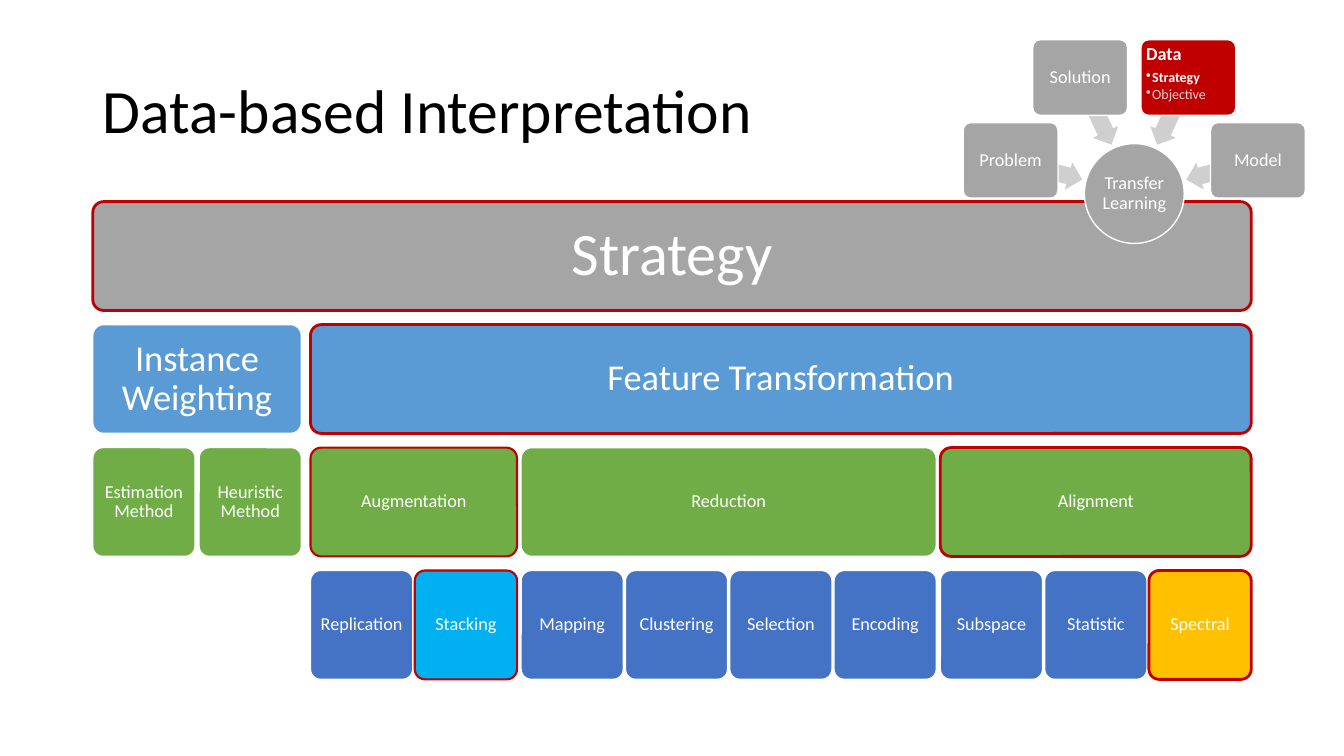
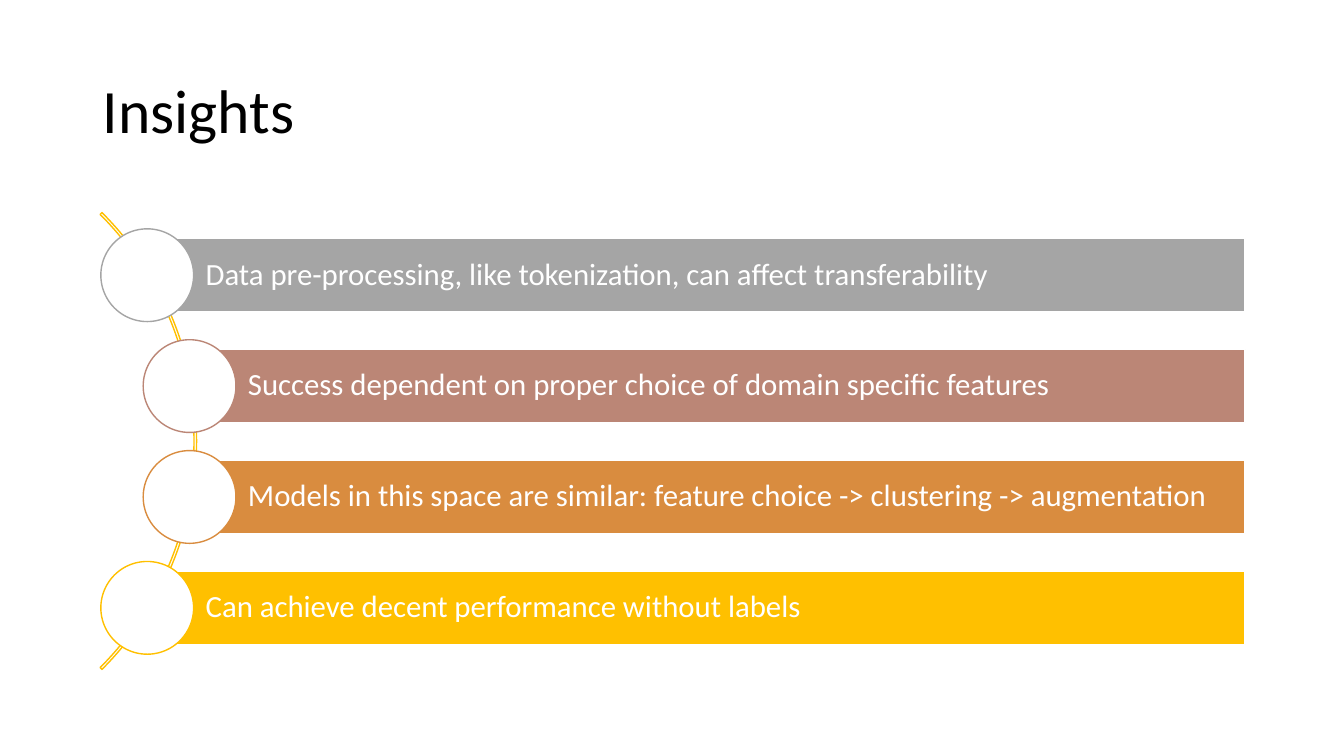
"""Build two slides: a strategy tree with its context wheel, and a list of insights."""
from math import cos, radians, sin

from lxml import etree
from pptx import Presentation
from pptx.dml.color import RGBColor
from pptx.enum import shapes, text
from pptx.oxml import ns
from pptx.util import Inches, Pt

FONT = "Calibri"
COLORS = {
    "black": "000000", "white": "FFFFFF", "gray": "A5A5A5", "silver": "CFCFCF",
    "pale": "D9D9D9", "red": "C00000", "blue": "5B9BD5", "green": "70AD47",
    "indigo": "4472C4", "cyan": "00B0F0", "gold": "FFC000", "rose": "BB8676",
    "orange": "D98C3F",
}
SHAPE = shapes.MSO_SHAPE
CENTER = text.PP_ALIGN.CENTER
LEFT = text.PP_ALIGN.LEFT

STRATEGY = ("Strategy", [
    ("Instance Weighting", [("Estimation Method", []), ("Heuristic Method", [])]),
    ("Feature Transformation", [
        ("Augmentation", [("Replication", []), ("Stacking", [])]),
        ("Reduction", [("Mapping", []), ("Clustering", []), ("Selection", []), ("Encoding", [])]),
        ("Alignment", [("Subspace", []), ("Statistic", []), ("Spectral", [])]),
    ]),
])
LEVELS = [
    {"fill": "gray", "size": 43, "inset": 0.18, "gap": 0},
    {"fill": "blue", "size": 26, "inset": 0.11, "gap": 0.09},
    {"fill": "green", "size": 13, "inset": 0.05, "gap": 0.04},
    {"fill": "indigo", "size": 13, "inset": 0.05, "gap": 0.02},
]
HIGHLIGHTS = {"Strategy": 2, "Feature Transformation": 2, "Augmentation": 1.5,
              "Alignment": 2, "Stacking": 1.5, "Spectral": 2}
LEAF_FILLS = {"Stacking": "cyan", "Spectral": "gold"}
TREE_LEFT, TREE_TOP, TREE_WIDTH = 0.92, 2, 11.49
TREE_HEIGHT, TREE_PITCH = 1.08, 1.22

HUB = "Transfer Learning"
HUB_X, HUB_Y = 11.25, 1.92
TOPICS = [("Problem", []), ("Solution", []), ("Data", ["Strategy", "Objective"]), ("Model", [])]
CURRENT = ("Data", "Strategy")

INSIGHTS = [
    ("Data pre-processing, like tokenization, can affect transferability", "gray", 1),
    ("Success dependent on proper choice of domain specific features", "rose", 1.42),
    ("Models in this space are similar: feature choice -> clustering -> augmentation", "orange", 1.42),
    ("Can achieve decent performance without labels", "gold", 1),
]
INSIGHT_MIDDLE, INSIGHT_PITCH, BAR_RIGHT = 2.73, 1.1, 12.35
BAR_HEIGHT, DOT = 0.73, 0.92


def rgb(color):
    return RGBColor.from_string(COLORS[color])


def add_run(paragraph, words, size, color="white", bold=False):
    run = paragraph.add_run()
    run.text = words
    run.font.name, run.font.size, run.font.bold = FONT, Pt(size), bold
    run.font.color.rgb = rgb(color)


def set_frame(frame, insets, anchor=text.MSO_ANCHOR.MIDDLE):
    frame.word_wrap = True
    frame.vertical_anchor = anchor
    (frame.margin_left, frame.margin_top,
     frame.margin_right, frame.margin_bottom) = map(Inches, insets)


def write(frame, words, size, insets, align=CENTER, color="white"):
    set_frame(frame, insets)
    paragraph = frame.paragraphs[0]
    paragraph.alignment, paragraph.line_spacing = align, 0.9
    add_run(paragraph, words, size, color)


def add_block(slide, kind, box, fill, line="white", width=1, adjust=()):
    block = slide.shapes.add_shape(kind, *map(Inches, box))
    block.shadow.inherit = False
    for index, value in enumerate(adjust):
        block.adjustments[index] = value
    if fill:
        block.fill.solid()
        block.fill.fore_color.rgb = rgb(fill)
    else:
        block.fill.background()
    if line:
        block.line.color.rgb = rgb(line)
        block.line.width = Pt(width)
    else:
        block.line.fill.background()
    return block


def around(x, y, width, height):
    return x - width / 2, y - height / 2, width, height


def add_slide(deck, title):
    slide = deck.slides.add_slide(deck.slide_layouts[6])
    box = slide.shapes.add_textbox(*map(Inches, (0.92, 0.4, 11.5, 1.45)))
    write(box.text_frame, title, 44, (0.1, 0.05, 0.1, 0.05), LEFT, "black")
    return slide


def count_leaves(node):
    return sum(map(count_leaves, node[1])) or 1


def sum_gaps(node, depth=0):
    children = node[1]
    own = LEVELS[depth + 1]["gap"] * (len(children) - 1) if children else 0
    return own + sum(sum_gaps(child, depth + 1) for child in children)


def add_branch(slide, node, leaf, x=TREE_LEFT, depth=0):
    name, children = node
    level = LEVELS[depth]
    width = count_leaves(node) * leaf + sum_gaps(node, depth)
    block = add_block(
        slide, SHAPE.ROUNDED_RECTANGLE,
        (x, TREE_TOP + depth * TREE_PITCH, width, TREE_HEIGHT),
        LEAF_FILLS.get(name, level["fill"]),
        "red" if name in HIGHLIGHTS else "white", HIGHLIGHTS.get(name, 1), [0.1])
    write(block.text_frame, name, level["size"], [level["inset"]] * 4)
    child_x = x
    for child in children:
        child_x += add_branch(slide, child, leaf, child_x, depth + 1) + LEVELS[depth + 1]["gap"]
    return width


def write_topic_list(frame, name, items):
    set_frame(frame, [0.03] * 4, text.MSO_ANCHOR.TOP)
    heading = frame.paragraphs[0]
    heading.alignment, heading.line_spacing, heading.space_after = LEFT, 0.9, Pt(4)
    add_run(heading, name, 13, bold=True)
    for item in items:
        paragraph = frame.add_paragraph()
        properties = paragraph._p.get_or_add_pPr()
        properties.set("marL", str(Inches(0.06)))
        properties.set("indent", str(Inches(-0.06)))
        etree.SubElement(properties, ns.qn("a:buChar")).set("char", "•")
        paragraph.alignment, paragraph.line_spacing, paragraph.space_after = LEFT, 0.9, Pt(1.5)
        active = item in CURRENT
        add_run(paragraph, item, 10, "white" if active else "pale", active)


def add_wheel(slide):
    hub = add_block(slide, SHAPE.OVAL, around(HUB_X, HUB_Y, 0.99, 0.99), "gray")
    write(hub.text_frame, HUB, 13, [0.01] * 4)
    for index, (name, items) in enumerate(TOPICS):
        angle = 195 + 50 * index
        dx, dy = cos(radians(angle)), sin(radians(angle))
        arrow = add_block(slide, SHAPE.LEFT_ARROW,
                          around(HUB_X + 0.9 * dx, HUB_Y + 0.9 * dy, 0.73, 0.28),
                          "silver", None, adjust=[0.6, 0.5])
        arrow.rotation = angle
        topic = add_block(slide, SHAPE.ROUNDED_RECTANGLE,
                          around(HUB_X + 1.27 * dx, HUB_Y + 1.27 * dy, 0.94, 0.75),
                          "red" if name in CURRENT else "gray", adjust=[0.1])
        if items:
            write_topic_list(topic.text_frame, name, items)
        else:
            write(topic.text_frame, name, 13, [0.03] * 4)


def add_insights(slide):
    add_block(slide, SHAPE.BLOCK_ARC, (-4.46, 1.17, 6.41, 6.41), None, "gold",
              adjust=[189, 27, 0.004])
    for index, (insight, color, dot_left) in enumerate(INSIGHTS):
        middle = INSIGHT_MIDDLE + index * INSIGHT_PITCH
        bar_left = dot_left + DOT / 2
        bar = add_block(slide, SHAPE.RECTANGLE,
                        (bar_left, middle - BAR_HEIGHT / 2, BAR_RIGHT - bar_left, BAR_HEIGHT), color)
        write(bar.text_frame, insight, 22, (0.58, 0.06, 0.06, 0.06), LEFT)
        add_block(slide, SHAPE.OVAL, around(bar_left, middle, DOT, DOT), "white", color)


def main():
    deck = Presentation()
    deck.slide_width, deck.slide_height = Inches(13.33), Inches(7.5)
    interpretation = add_slide(deck, "Data-based Interpretation")
    leaf = (TREE_WIDTH - sum_gaps(STRATEGY)) / count_leaves(STRATEGY)
    add_branch(interpretation, STRATEGY, leaf)
    add_wheel(interpretation)
    add_insights(add_slide(deck, "Insights"))
    deck.save("out.pptx")


if __name__ == "__main__":
    main()
